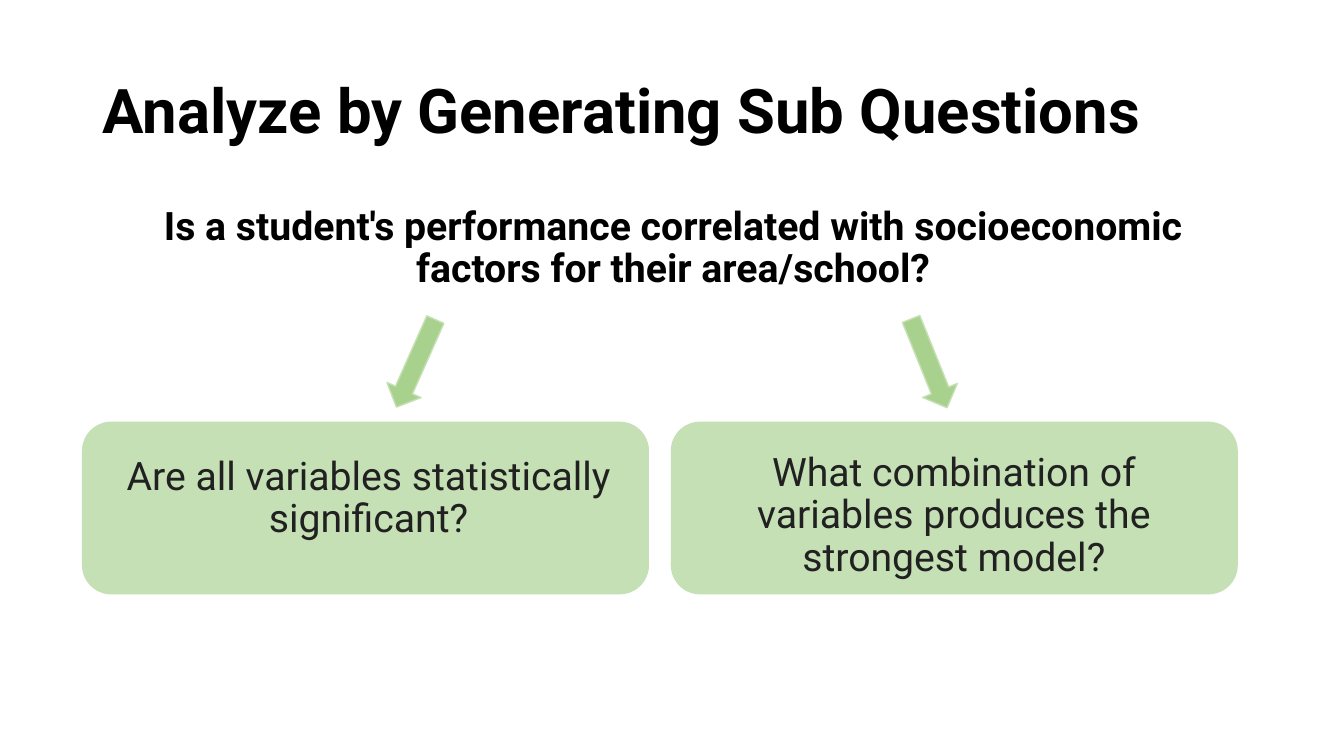
import pptx
import pptx.util
import pptx.dml.color
import pptx.enum.shapes
import pptx.enum.text

Inches, Pt = pptx.util.Inches, pptx.util.Pt
SHAPE = pptx.enum.shapes.MSO_SHAPE
ALIGN = pptx.enum.text.PP_ALIGN
ANCHOR = pptx.enum.text.MSO_ANCHOR
COLORS = {"black": "000000", "body": "212121", "box": "C5E0B4", "arrow": "A9D18E"}


class SlideBuilder:
    font = "Roboto"

    def __init__(self, slide):
        self.s = slide

    def color(self, name):
        return pptx.dml.color.RGBColor.from_string(COLORS[name])

    def shape(self, kind, box, fill, rotation=0):
        sp = self.s.shapes.add_shape(kind, *map(Inches, box))
        sp.shadow.inherit = False
        sp.rotation = rotation
        sp.fill.solid()
        sp.fill.fore_color.rgb = self.color(fill)
        sp.line.color.rgb = self.color("box")
        sp.line.width = Pt(1)

    def text(self, text, box, size=28, color="black", bold=False,
             align=ALIGN.CENTER, anchor=ANCHOR.TOP, before=10):
        tf = self.s.shapes.add_textbox(*map(Inches, box)).text_frame
        tf.word_wrap = True
        tf.vertical_anchor = anchor
        p = tf.paragraphs[0]
        p.alignment = align
        p.line_spacing = 0.9
        p.space_before = Pt(before)
        r = p.add_run()
        r.text = text
        r.font.name = self.font
        r.font.size = Pt(size)
        r.font.bold = bold
        r.font.color.rgb = self.color(color)


def main():
    prs = pptx.Presentation()
    prs.slide_width, prs.slide_height = Inches(13.33), Inches(7.5)
    slide = SlideBuilder(prs.slides.add_slide(prs.slide_layouts[6]))

    slide.text("Analyze by Generating Sub Questions", (0.92, 0.4, 11.5, 1.45),
               size=44, bold=True, align=ALIGN.LEFT, anchor=ANCHOR.MIDDLE, before=0)
    slide.text("Is a student's performance correlated with socioeconomic "
               "factors for their area/school?", (0.92, 2, 11.51, 1), bold=True)

    # box left, question, question position, arrow left, arrow rotation
    branches = [
        (0.82, "Are all variables statistically significant?",
         (0.92, 4.48, 5.47, 1.1), 3.94, 24),
        (6.66, "What combination of variables produces the strongest model?",
         (6.75, 4.44, 5.42, 1.4), 9.03, 338),
    ]
    for box_left, question, question_box, arrow_left, rotation in branches:
        slide.shape(SHAPE.ROUNDED_RECTANGLE, (box_left, 4.19, 5.61, 1.7), "box")
        slide.text(question, question_box, color="body")
        slide.shape(SHAPE.DOWN_ARROW, (arrow_left, 3.13, 0.37, 0.95), "arrow", rotation)

    prs.save("out.pptx")


if __name__ == "__main__":
    main()
